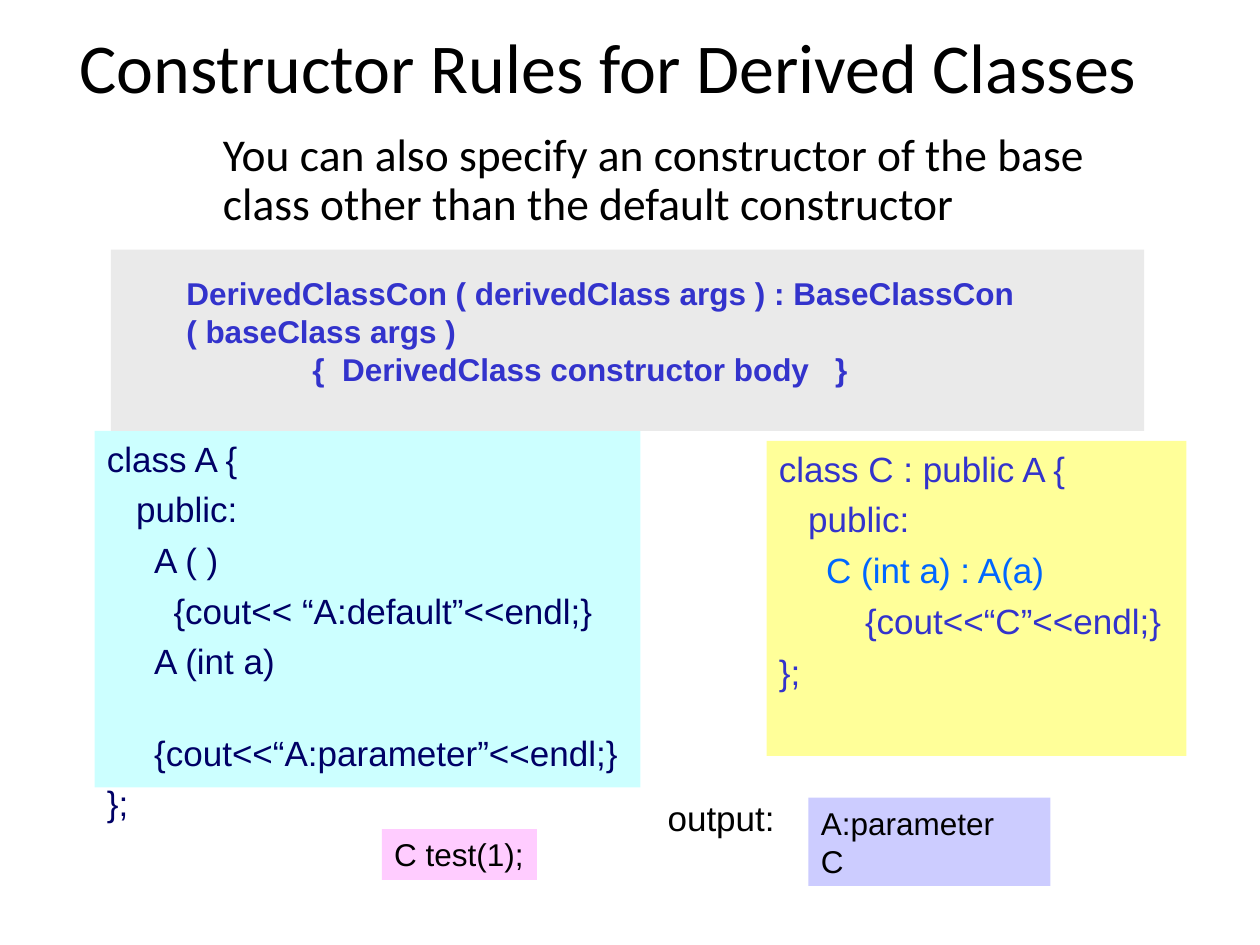
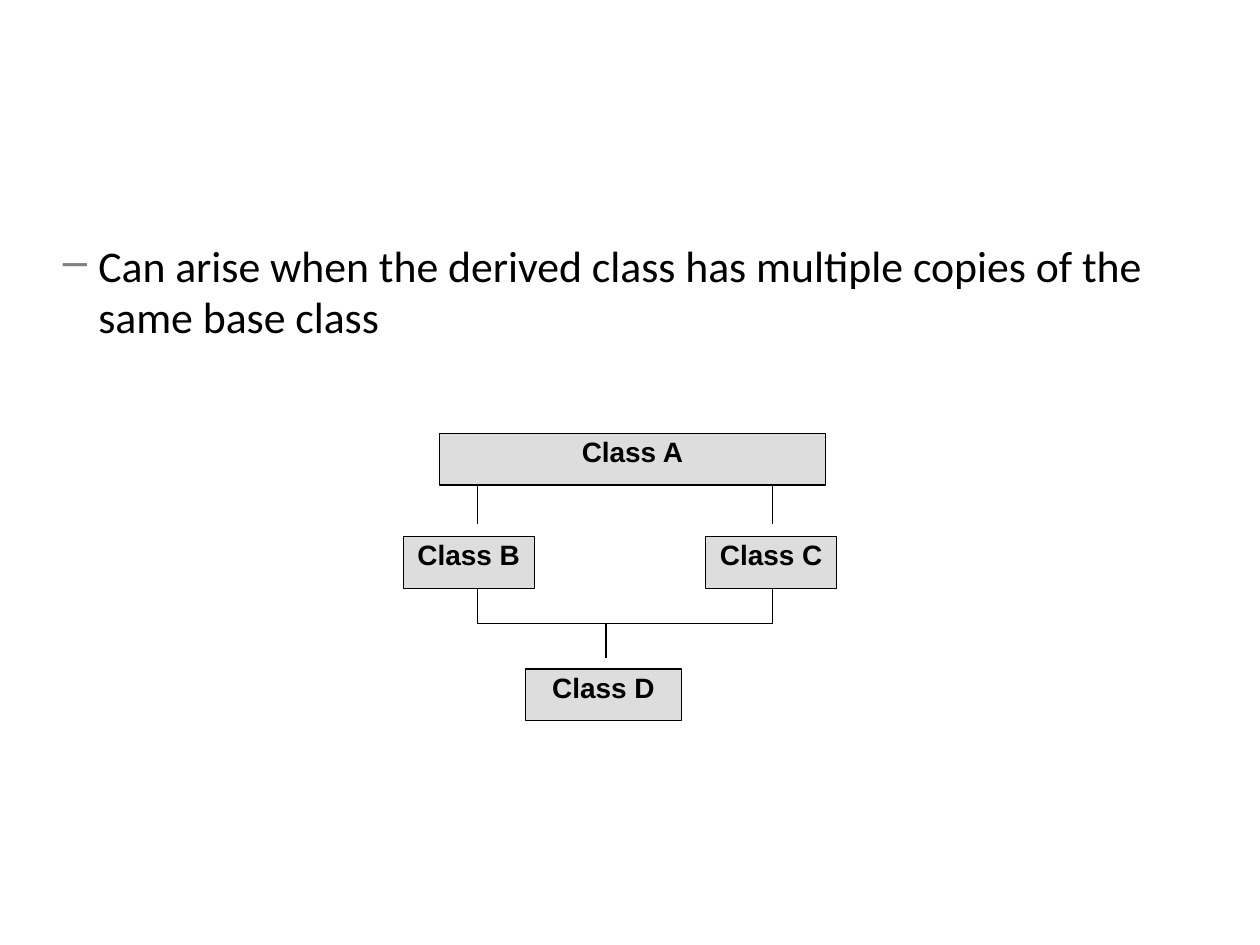
"""Build two slides on derived class constructors and shared base classes."""
import pptx
import pptx.util
import pptx.dml.color
import pptx.enum.shapes
import pptx.enum.text
import pptx.oxml.ns
import lxml.etree

Pt = pptx.util.Pt
RGB = pptx.dml.color.RGBColor
ALIGN = pptx.enum.text.PP_ALIGN
ANCHOR = pptx.enum.text.MSO_ANCHOR
qn = pptx.oxml.ns.qn

BLACK, WHITE = RGB(0, 0, 0), RGB(255, 255, 255)
NAVY, INDIGO, BLUE = RGB(0, 0, 0x66), RGB(0x33, 0x33, 0xCC), RGB(0, 0x66, 0xFF)
CYAN, YELLOW = RGB(0xCC, 0xFF, 0xFF), RGB(0xFF, 0xFF, 0x99)
PINK, LILAC = RGB(0xFF, 0xCC, 0xFF), RGB(0xCC, 0xCC, 0xFF)
PALE, GREY = RGB(0xEA, 0xEA, 0xEA), RGB(0xDD, 0xDD, 0xDD)
CODE, PLAIN = "Arial", "Calibri"
INSET = (7.2, 3.6, 7.2, 3.6)

TITLE = "Constructor Rules for Derived Classes"
INTRO = ("You can also specify an constructor of the base class "
         "other than the default constructor")
POINT = ("Can arise when the derived class has multiple copies "
         "of the same base class")

# Each line of code: text, indent, then any change of format.
SYNTAX = [
    ("DerivedClassCon ( derivedClass args ) : BaseClassCon ( baseClass args )", 36),
    ("{  DerivedClass constructor body   }", 108),
]
BASE = [
    ("class A {", 0),
    ("public:", 16.7),
    ("A ( )", 27),
    ("{cout<< “A:default”<<endl;}", 38.1),
    ("A (int a)", 27),
    ("{cout<<“A:parameter”<<endl;}", 27, {"before": 28}),
    ("};", 0),
]
CHILD = [
    ("class C : public A {", 0),
    ("public:", 16.7),
    ("C (int a) : A(a)", 27, {"ink": BLUE}),
    ("{cout<<“C”<<endl;}", 49.2),
    ("};", 0),
]
PANELS = [
    ((54, 246.2, 312, 203.8), CYAN, BASE, {"size": 20, "ink": NAVY, "before": 5}),
    ((438, 252, 240, 180), YELLOW, CHILD, {"size": 20, "ink": INDIGO, "before": 5}),
    ((218.2, 473.8, 88.6, 29), PINK, [("C test(1);", 0)], {"wrap": False}),
    ((462, 455.8, 138.2, 50.4), LILAC, [("A:parameter", 0), ("C", 0)], {}),
    ((374.4, 451.4, 75.6, 31.7), None, [("output:", 0)], {"size": 20, "wrap": False}),
    ((63.4, 142.6, 590.4, 103.7), PALE, SYNTAX,
     {"ink": INDIGO, "bold": True, "inset": (7.2, 14, 7.2, 3.6)}),
]

HIGH = 29.5
ROWS = (247.7, 306.7, 382.3)
NODES = [("Class A", 251.3, 0, 220.3), ("Class B", 230.4, 1, 74.9),
         ("Class C", 403.2, 1, 74.9), ("Class D", 300.2, 2, 89.3)]
SIDES, STEM, BUS = (272.9, 441.4), 346.3, 356.4


def style(par, size=18, ink=BLACK, font=CODE, bold=False, before=0, after=0,
          space=None, align=ALIGN.LEFT):
    """Format one paragraph."""
    par.font.size, par.font.name, par.font.bold = Pt(size), font, bold
    par.font.color.rgb = ink
    par.space_before, par.space_after = Pt(before), Pt(after)
    par.alignment = align
    if space:
        par.line_spacing = space


def indent(par, left, hang=0):
    """Set the left margin and hanging indent of a paragraph."""
    props = par._p.get_or_add_pPr()
    props.set("marL", str(Pt(left)))
    props.set("indent", str(Pt(-hang)))
    return props


def write(shape, lines, inset=INSET, wrap=True, anchor=ANCHOR.TOP, **look):
    """Fill a shape with lines of text."""
    frame = shape.text_frame
    frame.auto_size = pptx.enum.text.MSO_AUTO_SIZE.NONE
    frame.word_wrap, frame.vertical_anchor = wrap, anchor
    (frame.margin_left, frame.margin_top,
     frame.margin_right, frame.margin_bottom) = map(Pt, inset)
    frame.text = "\n".join(line[0] for line in lines)
    for par, (_, left, *extra) in zip(frame.paragraphs, lines):
        style(par, **{**look, **(extra[0] if extra else {})})
        indent(par, left)
    return frame


def panel(slide, area, fill, lines, edge=None, **look):
    """Add a text box, or a filled rectangle, with text."""
    area = map(Pt, area)
    if fill is None:
        shape = slide.shapes.add_textbox(*area)
    else:
        kind = pptx.enum.shapes.MSO_SHAPE.RECTANGLE
        shape = slide.shapes.add_shape(kind, *area)
        shape.shadow.inherit = False
        shape.fill.solid()
        shape.fill.fore_color.rgb = fill
        if edge is None:
            shape.line.fill.background()
        else:
            shape.line.color.rgb, shape.line.width = edge, Pt(0.75)
    return write(shape, lines, **look)


def link(slide, *ends):
    """Draw a thin black line."""
    kind = pptx.enum.shapes.MSO_CONNECTOR.STRAIGHT
    line = slide.shapes.add_connector(kind, *map(Pt, ends))
    line.line.color.rgb, line.line.width = BLACK, Pt(0.75)
    lxml.etree.SubElement(line._element.spPr, qn("a:effectLst"))


def dash(par):
    """Give a paragraph a grey dash as its bullet."""
    props = indent(par, 20.2, 20.2)
    ink = lxml.etree.SubElement(props, qn("a:buClr"))
    lxml.etree.SubElement(ink, qn("a:srgbClr"), val="808080")
    lxml.etree.SubElement(props, qn("a:buChar"), char="–")


def add(deck, layout):
    """Add a slide on a white ground."""
    slide = deck.slides.add_slide(deck.slide_layouts[layout])
    slide.background.fill.solid()
    slide.background.fill.fore_color.rgb = WHITE
    return slide


def rules(deck):
    """Build the slide of constructor rules."""
    slide = add(deck, 5)
    title = slide.shapes.title
    title.left, title.top, title.width, title.height = map(Pt, (0, 12.2, 695, 54))
    write(title, [(TITLE, 0)], anchor=ANCHOR.BOTTOM, size=40, font=PLAIN,
          space=0.97, align=ALIGN.CENTER)
    panel(slide, (95.8, 72, 534.2, 72), None, [(INTRO, 24.5)],
          size=26, font=PLAIN, space=0.9, after=12.9)
    for area, fill, lines, look in PANELS:
        panel(slide, area, fill, lines, **look)


def diamond(deck):
    """Build the slide of the class diagram."""
    slide = add(deck, 6)
    frame = panel(slide, (36, 126, 637.9, 347), None, [(POINT, 0)],
                  inset=(0, 12.2, 0, 0), size=25, font=PLAIN, space=0.97, after=10.4)
    dash(frame.paragraphs[0])
    for name, left, row, wide in NODES:
        panel(slide, (left, ROWS[row], wide, HIGH), GREY, [(name, 0)], edge=BLACK,
              inset=(0.7,) * 4, size=16, bold=True, before=6, align=ALIGN.CENTER)
    for x in SIDES:
        link(slide, x, ROWS[0] + HIGH, x, ROWS[1] - 7.5)
        link(slide, x, ROWS[1] + HIGH, x, BUS)
    link(slide, SIDES[0], BUS, SIDES[1], BUS)
    link(slide, STEM, BUS, STEM, ROWS[2] - 6.5)


def main():
    """Build and save the deck."""
    deck = pptx.Presentation()
    deck.slide_width, deck.slide_height = Pt(720), Pt(540)
    rules(deck)
    diamond(deck)
    deck.save("out.pptx")


if __name__ == "__main__":
    main()
